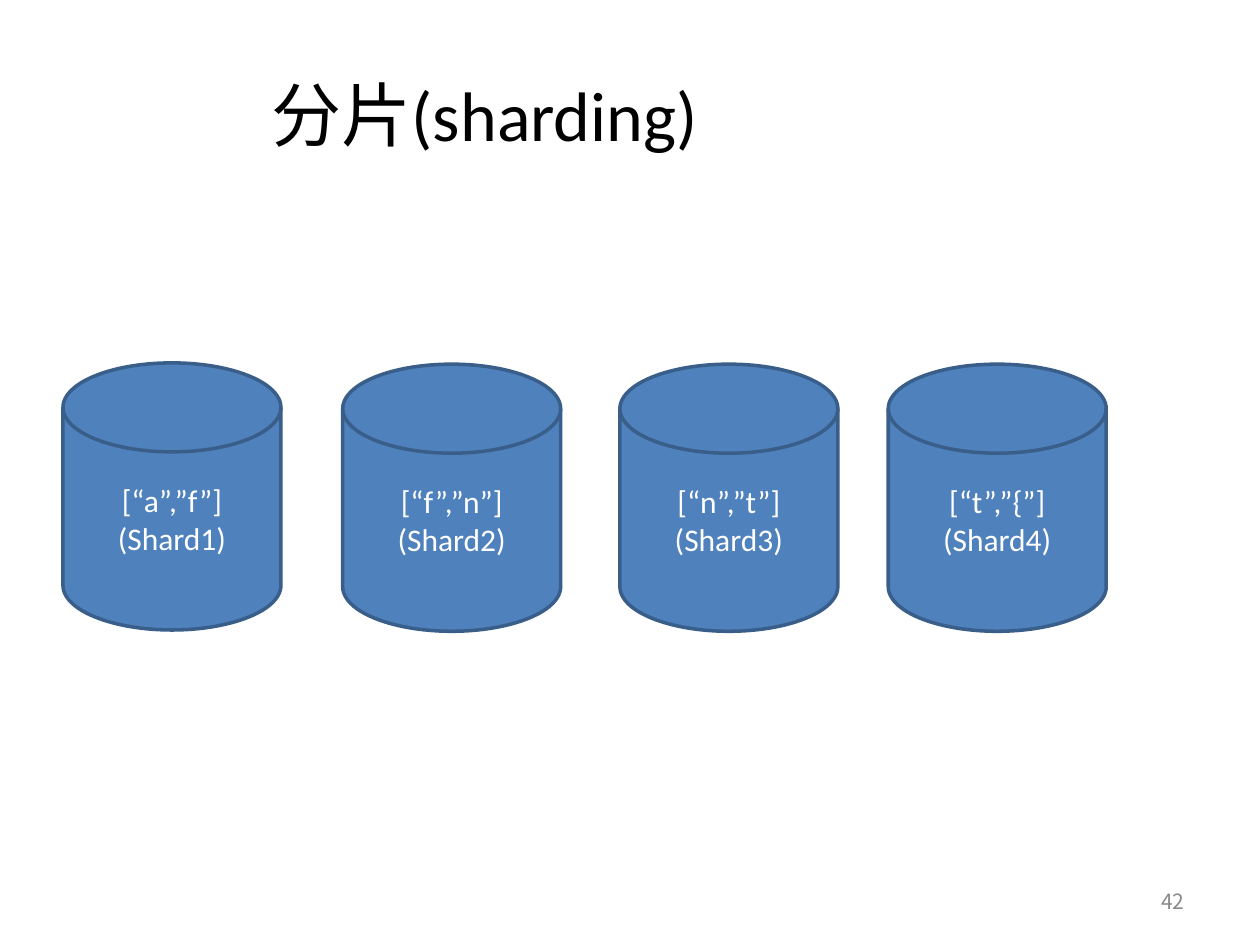
from dataclasses import dataclass

from pptx import Presentation, util as u
from pptx.dml.color import RGBColor
from pptx.enum import shapes, text
from pptx.oxml.ns import qn
from lxml import etree


@dataclass(frozen=True)
class Theme:
    fill: str = "4F81BD"
    line: str = "395E8A"
    light: str = "FFFFFF"
    dark: str = "000000"
    muted: str = "898989"
    latin: str = "Calibri"
    asian: str = "Noto Sans CJK SC"
    title_size: int = 40
    label_size: int = 18
    number_size: int = 12


@dataclass(frozen=True)
class Box:
    """A frame in shares of the slide's width and height."""
    left: float
    top: float
    width: float
    height: float

    def lengths(self) -> tuple:
        return (int(self.left * WIDTH), int(self.top * HEIGHT),
                int(self.width * WIDTH), int(self.height * HEIGHT))


@dataclass(frozen=True)
class Shard:
    left: float
    top: float
    key_range: str


THEME = Theme()
WIDTH, HEIGHT = u.Inches(10), u.Inches(7.5)
DISK_WIDTH, DISK_HEIGHT = 1.73 / 10, 2.12 / 7.5
SHARDS = [
    Shard(0.5 / 10, 2.88 / 7.5, "[“a”,”f”]"),
    Shard(2.72 / 10, 2.89 / 7.5, "[“f”,”n”]"),
    Shard(4.92 / 10, 2.89 / 7.5, "[“n”,”t”]"),
    Shard(7.05 / 10, 2.89 / 7.5, "[“t”,”{”]"),
]


def write_text(shape, content: str, *, size: int, color: str,
               font: str = THEME.latin,
               align=text.PP_ALIGN.LEFT,
               anchor=text.MSO_ANCHOR.MIDDLE) -> None:
    frame = shape.text_frame
    frame.word_wrap = True
    frame.vertical_anchor = anchor
    frame.text = content
    for paragraph in frame.paragraphs:
        paragraph.alignment = align
        for run in paragraph.runs:
            run.font.size = u.Pt(size)
            run.font.name = font
            run.font.color.rgb = RGBColor.from_string(color)
            # The East Asian face has no public setter
            asian = etree.SubElement(run.font._element, qn("a:ea"))
            asian.set("typeface", THEME.asian)


def add_label(slide, box: Box, content: str, **text_format) -> None:
    write_text(slide.shapes.add_textbox(*box.lengths()), content, **text_format)


def add_shard(slide, shard: Shard, number: int) -> None:
    box = Box(shard.left, shard.top, DISK_WIDTH, DISK_HEIGHT)
    disk = slide.shapes.add_shape(
        shapes.MSO_SHAPE.FLOWCHART_MAGNETIC_DISK, *box.lengths())
    disk.shadow.inherit = False
    disk.fill.solid()
    disk.fill.fore_color.rgb = RGBColor.from_string(THEME.fill)
    disk.line.color.rgb = RGBColor.from_string(THEME.line)
    disk.line.width = u.Pt(2)
    write_text(disk, f"{shard.key_range}\n(Shard{number})",
               size=THEME.label_size, color=THEME.light,
               align=text.PP_ALIGN.CENTER)


def main() -> None:
    presentation = Presentation()
    presentation.slide_width, presentation.slide_height = WIDTH, HEIGHT
    slide = presentation.slides.add_slide(presentation.slide_layouts[6])

    # Page number
    add_label(slide, Box(7.17 / 10, 6.95 / 7.5, 2.33 / 10, 0.4 / 7.5), "42",
              size=THEME.number_size, color=THEME.muted, font=THEME.asian,
              align=text.PP_ALIGN.RIGHT)

    # Title
    add_label(slide, Box(2.06 / 10, 0.52 / 7.5, 5.72 / 10, 0.77 / 7.5),
              "分片(sharding)", size=THEME.title_size, color=THEME.dark,
              anchor=text.MSO_ANCHOR.TOP)

    # Row of shards
    for number, shard in enumerate(SHARDS, start=1):
        add_shard(slide, shard, number)

    presentation.save("out.pptx")


if __name__ == "__main__":
    main()
